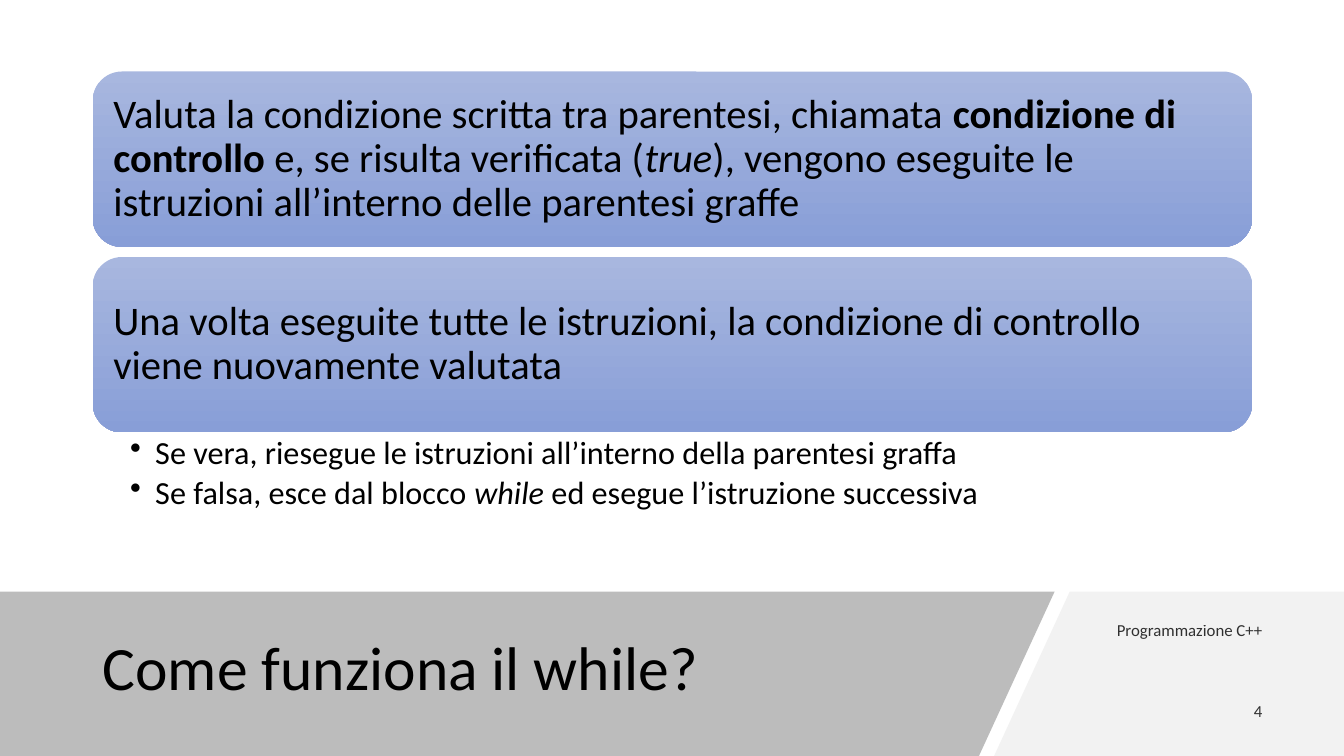
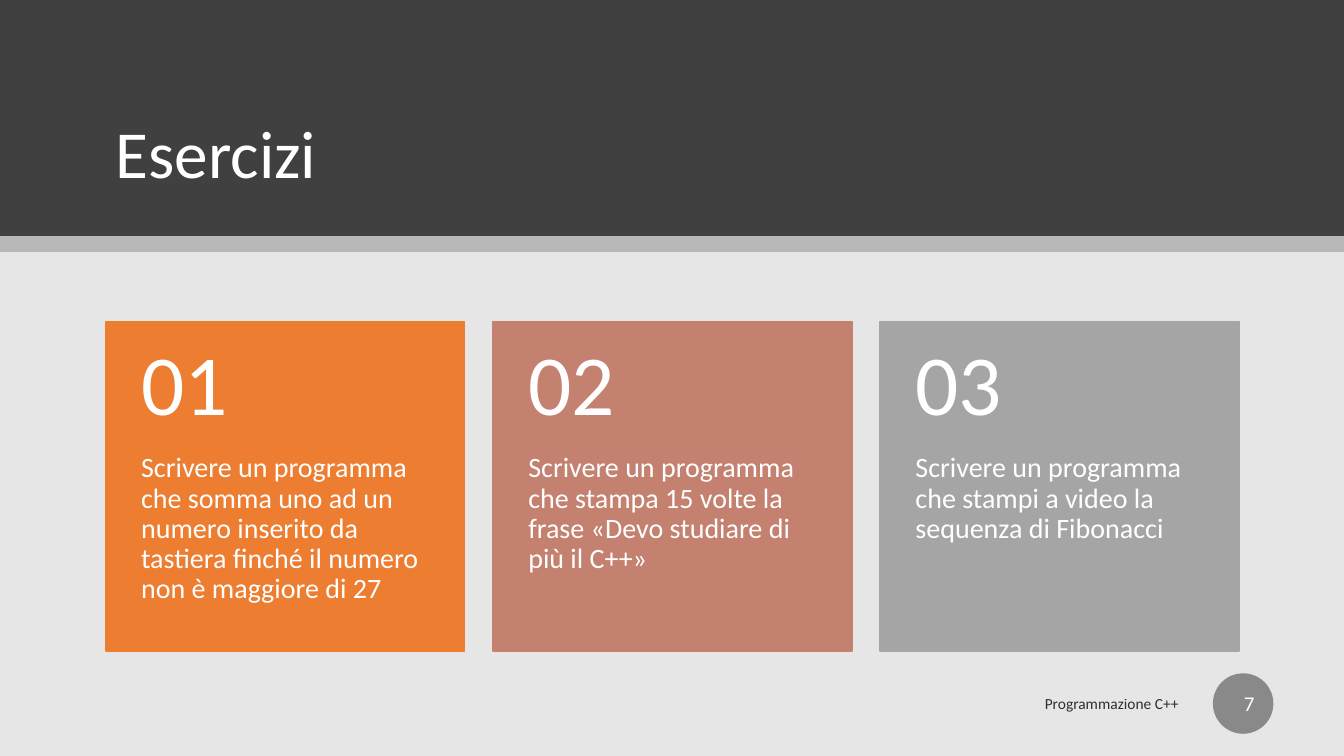
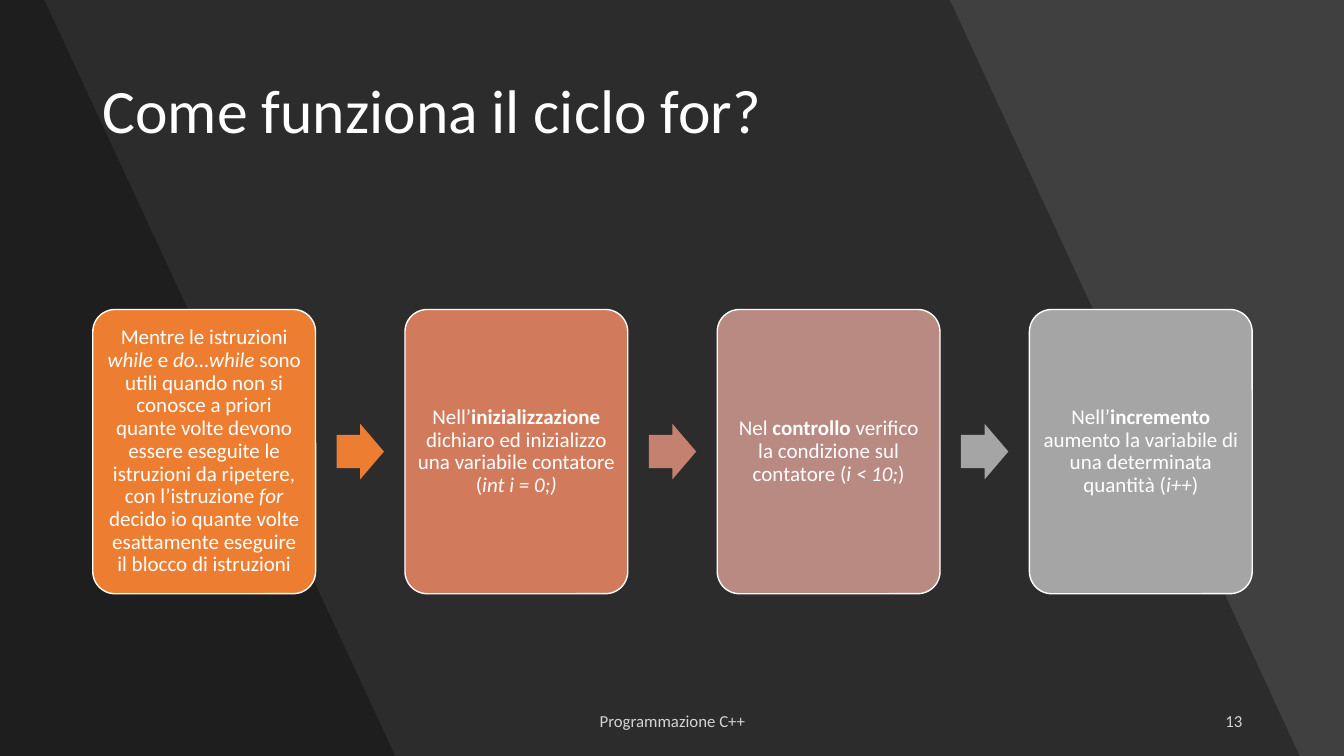
from lxml.etree import SubElement
from pptx import Presentation
from pptx.dml.color import RGBColor
from pptx.enum.shapes import MSO_SHAPE as Shape
from pptx.enum.text import MSO_ANCHOR as Anchor, PP_ALIGN as Align
from pptx.oxml.ns import qn
from pptx.util import Inches, Pt

WIDTH, HEIGHT = 13.33, 7.5
MARGIN, SPAN = 0.92, 11.5
FONT = "Calibri"
COURSE = "Programmazione C++"
BLACK, WHITE, CHARCOAL = "000000", "FFFFFF", "404040"
ORANGE, CORAL, ROSE, MAUVE, GREY = "ED7D31", "D17B5C", "C48170", "B98A82", "A5A5A5"
DEFAULT_INSETS = (0.1, 0.05, 0.1, 0.05)


def paint(fill, color):
    """Fill solidly with a hex colour."""
    fill.solid()
    fill.fore_color.rgb = RGBColor.from_string(color)


def fade(shape, opacity):
    """Give every colour of a shape an opacity in percent."""
    for tint in shape.element.iter(qn("a:srgbClr")):
        SubElement(tint, qn("a:alpha")).set("val", str(opacity * 1000))


def finish(shape, color, outline=None):
    """Set the fill and outline of a shape and drop its shadow."""
    shape.shadow.inherit = False
    paint(shape.fill, color)
    if outline:
        paint(shape.line.fill, outline)
        shape.line.width = Pt(1)
    else:
        shape.line.fill.background()
    return shape


def block(slide, kind, box, color, outline=None, adjustments=()):
    """Add a preset shape."""
    shape = slide.shapes.add_shape(kind, *map(Inches, box))
    for index, value in enumerate(adjustments):
        shape.adjustments[index] = value
    return finish(shape, color, outline)


def panel(slide, corners, color, opacity=100):
    """Add a closed polygon as background panel."""
    points = [(Inches(x), Inches(y)) for x, y in corners]
    builder = slide.shapes.build_freeform(*points[0])
    builder.add_line_segments(points[1:], close=True)
    shape = finish(builder.convert_to_shape(), color)
    if opacity < 100:
        fade(shape, opacity)


def add_bullet(paragraph):
    """Give a paragraph a hanging bullet."""
    properties = paragraph._p.get_or_add_pPr()
    properties.set("marL", str(Inches(0.25)))
    properties.set("indent", str(-Inches(0.25)))
    SubElement(properties, qn("a:buChar")).set("char", "•")


def write(shape, paragraphs, size, color, align=Align.LEFT, anchor=Anchor.MIDDLE,
          insets=DEFAULT_INSETS, spacing=0.9, bullets=False):
    """Write paragraphs made of plain strings and (text, style) pairs."""
    frame = shape.text_frame
    frame.word_wrap = True
    frame.vertical_anchor = anchor
    frame.margin_left, frame.margin_top, frame.margin_right, frame.margin_bottom = map(Inches, insets)
    for index, pieces in enumerate(paragraphs):
        paragraph = frame.add_paragraph() if index else frame.paragraphs[0]
        if bullets:
            add_bullet(paragraph)
            paragraph.space_after = Pt(4)
        paragraph.alignment = align
        paragraph.line_spacing = spacing
        paragraph.font.name = FONT
        paragraph.font.size = Pt(size)
        paint(paragraph.font.fill, color)
        for piece in pieces:
            text, style = (piece, "") if isinstance(piece, str) else piece
            run = paragraph.add_run()
            run.text = text
            if style == "bold":
                run.font.bold = True
            elif style == "italic":
                run.font.italic = True


def textbox(slide, box, paragraphs, size, color, **options):
    """Add a text box."""
    shape = slide.shapes.add_textbox(*map(Inches, box))
    write(shape, paragraphs, size, color, **options)
    return shape


def title(slide, box, text, color, size=44, anchor=Anchor.MIDDLE):
    """Add the slide title."""
    textbox(slide, box, [[text]], size, color, anchor=anchor)


def footer(slide, box, text, color, size=12, align=Align.RIGHT):
    """Add a slightly transparent footer text."""
    fade(textbox(slide, box, [[text]], size, color, align=align, spacing=1), 80)


def columns(left, span, count, width):
    """Return the left edges of equal columns spread over a span."""
    pitch = (span - width) / (count - 1)
    return [left + pitch * index for index in range(count)]


def new_slide(deck, background):
    """Add a blank slide with a background colour."""
    slide = deck.slides.add_slide(deck.slide_layouts[6])
    paint(slide.background.fill, background)
    return slide


def while_slide(deck):
    """Explain the while loop."""
    slide = new_slide(deck, WHITE)
    band_top = 5.87
    panel(slide, [(10.61, band_top), (WIDTH, band_top), (WIDTH, HEIGHT), (9.86, HEIGHT)], "F2F2F2")
    panel(slide, [(0, band_top), (10.46, band_top), (9.71, HEIGHT), (0, HEIGHT)], "595959", 40)
    title(slide, (MARGIN, 6.05, 8.83, 1.2), "Come funziona il while?", BLACK)
    footer(slide, (10.55, 6.05, 2.07, 0.4), COURSE, BLACK)
    footer(slide, (11.15, 6.85, 1.47, 0.4), "4", BLACK)

    steps = [
        ["Valuta la condizione scritta tra parentesi, chiamata ", ("condizione di controllo", "bold"),
         " e, se risulta verificata (", ("true", "italic"),
         "), vengono eseguite le istruzioni all’interno delle parentesi graffe"],
        ["Una volta eseguite tutte le istruzioni, la condizione di controllo viene nuovamente valutata"],
    ]
    for row, step in enumerate(steps):
        card = block(slide, Shape.ROUNDED_RECTANGLE, (MARGIN, 0.71 + 1.84 * row, SPAN, 1.74), "9AABD9")
        card.fill.gradient()
        card.fill.gradient_angle = 270
        for stop, shade in zip(card.fill.gradient_stops, ("A8B7DF", "889ED7")):
            stop.color.rgb = RGBColor.from_string(shade)
        write(card, [step], 29, BLACK, insets=(0.12,) * 4)

    outcomes = [
        ["Se vera, riesegue le istruzioni all’interno della parentesi graffa"],
        ["Se falsa, esce dal blocco ", ("while", "italic"), " ed esegue l’istruzione successiva"],
    ]
    textbox(slide, (MARGIN, 4.29, SPAN, 0.87), outcomes, 23, BLACK, anchor=Anchor.TOP,
            insets=(0.37, 0.04, 0.23, 0.04), bullets=True)


def exercises_slide(deck):
    """List the three exercises as numbered cards."""
    slide = new_slide(deck, "E7E6E6")
    left, span, band_height = 1.05, 11.24, 2.34
    block(slide, Shape.RECTANGLE, (0, 0, WIDTH, band_height), CHARCOAL)
    title(slide, (left, 0.47, span, 1.49), "Esercizi", WHITE, 48, Anchor.BOTTOM)
    fade(block(slide, Shape.RECTANGLE, (0, band_height, WIDTH, 0.16), BLACK), 20)
    footer(slide, (5.33, 6.78, 6.46, 0.4), COURSE, BLACK, 11)
    badge = block(slide, Shape.OVAL, (12.03, 6.68, 0.6, 0.6), "898989")
    write(badge, [["7"]], 15, WHITE, align=Align.RIGHT, spacing=1)

    exercises = [
        (ORANGE, "Scrivere un programma che somma uno ad un numero inserito da tastiera "
                 "finché il numero non è maggiore di 27"),
        (ROSE, "Scrivere un programma che stampa 15 volte la frase «Devo studiare di più il C++»"),
        (GREY, "Scrivere un programma che stampi a video la sequenza di Fibonacci"),
    ]
    top, width, height, number_height = 3.19, 3.56, 3.27, 1.31
    lefts = columns(left, span, len(exercises), width)
    for number, (x, (color, task)) in enumerate(zip(lefts, exercises), 1):
        card = block(slide, Shape.RECTANGLE, (x, top, width, height), color, color)
        write(card, [[task]], 20, WHITE, anchor=Anchor.TOP, insets=(0.35, number_height, 0.35, 0.36))
        textbox(slide, (x, top, width, number_height), [[f"{number:02}"]], 61, WHITE,
                insets=(0.35, 0.18, 0.35, 0.18))


def for_slide(deck):
    """Explain the for loop as a chain of steps."""
    slide = new_slide(deck, CHARCOAL)
    for top_right, bottom_right in ((9.42, 12.89), (0.44, 3.92)):
        panel(slide, [(0, 0), (top_right, 0), (bottom_right, HEIGHT), (0, HEIGHT)], BLACK, 30)
    title(slide, (MARGIN, 0.4, SPAN, 1.45), "Come funziona il ciclo for?", WHITE)
    footer(slide, (4.42, 6.95, 4.5, 0.4), COURSE, WHITE, align=Align.CENTER)
    footer(slide, (9.42, 6.95, 3, 0.4), "13", WHITE)

    steps = [
        (ORANGE, ["Mentre le istruzioni ", ("while", "italic"), " e ", ("do…while", "italic"),
                  " sono utili quando non si conosce a priori quante volte devono essere eseguite "
                  "le istruzioni da ripetere, con l’istruzione ", ("for", "italic"),
                  " decido io quante volte esattamente eseguire il blocco di istruzioni"]),
        (CORAL, ["Nell’", ("inizializzazione ", "bold"),
                 "dichiaro ed inizializzo una variabile contatore (", ("int i = 0;)", "italic")]),
        (MAUVE, ["Nel ", ("controllo", "bold"), " verifico la condizione sul contatore (",
                 ("i < 10;", "italic"), ")"]),
        (GREY, ["Nell’", ("incremento", "bold"), " aumento la variabile di una determinata quantità (",
                ("i++", "italic"), ")"]),
    ]
    top, width, height = 3.07, 2.21, 2.82
    arrow_width, arrow_height = 0.47, 0.55
    lefts = columns(MARGIN, SPAN, len(steps), width)
    for x, (color, step) in zip(lefts, steps):
        card = block(slide, Shape.ROUNDED_RECTANGLE, (x, top, width, height), color, WHITE, (0.1,))
        write(card, [step], 15, WHITE, align=Align.CENTER, insets=(0.06,) * 4)
    arrow_top = top + (height - arrow_height) / 2
    for x, following, color in zip(lefts, lefts[1:], (ORANGE, ROSE, GREY)):
        arrow_left = (x + width + following - arrow_width) / 2
        block(slide, Shape.RIGHT_ARROW, (arrow_left, arrow_top, arrow_width, arrow_height), color,
              adjustments=(0.6, 0.5))


def main():
    """Build and save the presentation."""
    deck = Presentation()
    deck.slide_width, deck.slide_height = Inches(WIDTH), Inches(HEIGHT)
    while_slide(deck)
    exercises_slide(deck)
    for_slide(deck)
    deck.save("out.pptx")


if __name__ == "__main__":
    main()
